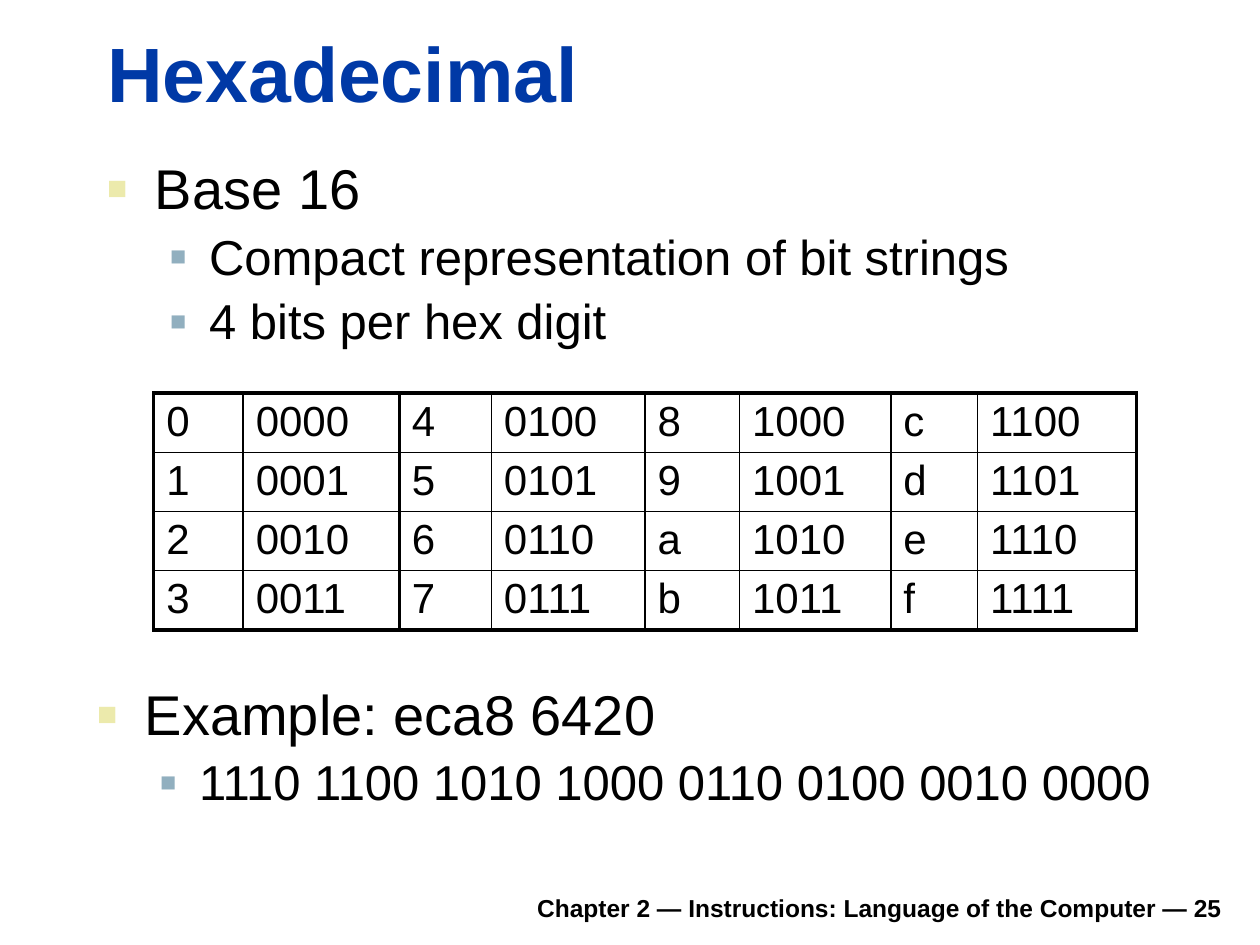
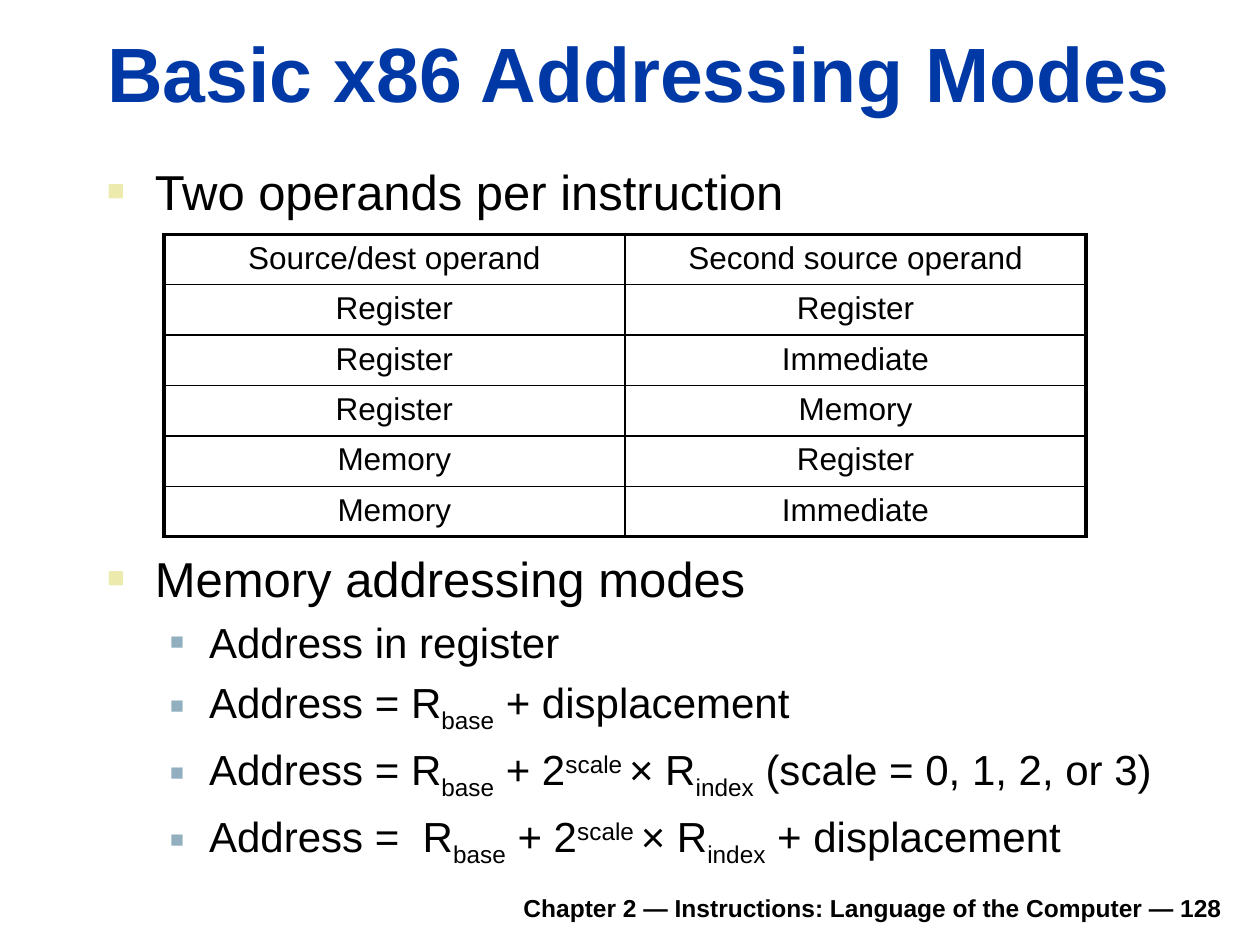
from lxml.etree import SubElement
from pptx import Presentation
from pptx.dml.color import RGBColor
from pptx.enum.text import MSO_ANCHOR, MSO_AUTO_SIZE, PP_ALIGN
from pptx.oxml import parse_xml
from pptx.oxml.ns import nsdecls, qn
from pptx.util import Inches, Pt

FONT = "Arial"
BLUE = RGBColor(0x00, 0x39, 0xA6)
BLACK = RGBColor(0x00, 0x00, 0x00)
SAND = RGBColor(0xEC, 0xEA, 0xAC)
STEEL = RGBColor(0x91, 0xAF, 0xBF)

# Per list level: left margin, hanging indent, bullet colour, bullet size in %
LEVELS = [(0.38, 0.38, SAND, 60), (0.81, 0.31, STEEL, 55)]
SPACE_RATIO = 0.23  # space before a list item, as a share of its text size
THIN, MEDIUM, THICK = 1, 1.5, 2.25
SUB, SUP = -25, 30
FOOTER = "Chapter 2 — Instructions: Language of the Computer — {}"


def add_text(p, text, size=18, color=BLACK, bold=False, baseline=0):
    r = p.add_run()
    r.text = text
    r.font.name = FONT
    r.font.size = Pt(size)
    r.font.bold = bold
    r.font.color.rgb = color
    if baseline:
        r._r.get_or_add_rPr().set("baseline", str(baseline * 1000))


def add_bullet(p, level):
    margin, hanging, color, percent = LEVELS[level]
    p.level = level
    pPr = p._p.get_or_add_pPr()
    pPr.set("marL", str(Inches(margin)))
    pPr.set("indent", str(-Inches(hanging)))
    clr = SubElement(pPr, qn("a:buClr"))
    SubElement(clr, qn("a:srgbClr"), val=str(color))
    SubElement(pPr, qn("a:buSzPct"), val=str(percent * 1000))
    SubElement(pPr, qn("a:buFont"), typeface=FONT)
    SubElement(pPr, qn("a:buChar"), char="■")


def set_borders(cell, left, right, top, bottom):
    tcPr = cell._tc.get_or_add_tcPr()
    sides = zip("LRTB", (left, right, top, bottom))
    for i, (side, width) in enumerate(sides):
        tcPr.insert(i, parse_xml(
            f'<a:ln{side} {nsdecls("a")} w="{Pt(width)}"><a:solidFill>'
            f'<a:srgbClr val="{BLACK}"/></a:solidFill></a:ln{side}>'))


class Deck:
    def __init__(self):
        self.prs = Presentation()
        self.prs.slide_width = Inches(10)
        self.prs.slide_height = Inches(7.5)
        self.s = None

    def new_slide(self, title, number):
        self.s = self.prs.slides.add_slide(self.prs.slide_layouts[3])
        self.title(title)
        self.footer(number)

    def place(self, sp, left, top, width, height, anchor):
        sp.left, sp.top = Inches(left), Inches(top)
        sp.width, sp.height = Inches(width), Inches(height)
        tf = sp.text_frame
        tf.word_wrap = True
        tf.auto_size = MSO_AUTO_SIZE.NONE
        tf.vertical_anchor = anchor
        return tf

    def title(self, text):
        tf = self.place(self.s.shapes.title, 0.75, 0.16, 9.03, 0.83,
                        MSO_ANCHOR.BOTTOM)
        p = tf.paragraphs[0]
        p.alignment = PP_ALIGN.LEFT
        add_text(p, text, size=44, color=BLUE, bold=True)

    def footer(self, number):
        sp = self.s.shapes.add_textbox(0, 0, 0, 0)
        tf = self.place(sp, 1.85, 6.98, 7.95, 0.39, MSO_ANCHOR.BOTTOM)
        p = tf.paragraphs[0]
        p.alignment = PP_ALIGN.RIGHT
        add_text(p, FOOTER.format(number), size=14, bold=True)

    def bullets(self, idx, left, top, height, items, sizes, line_spacing=1.0):
        """The first item is the heading, the others are one level below.

        An item is a string or a list of (text, baseline) pairs.
        """
        tf = self.place(self.s.placeholders[idx], left, top, 9.05, height,
                        MSO_ANCHOR.TOP)
        for i, item in enumerate(items):
            p = tf.add_paragraph() if i else tf.paragraphs[0]
            level = min(i, 1)
            size = sizes[level]
            add_bullet(p, level)
            p.line_spacing = line_spacing
            p.space_before = Pt(size * SPACE_RATIO if i else 0)
            parts = [(item, 0)] if isinstance(item, str) else item
            for text, baseline in parts:
                add_text(p, text, size=size, baseline=baseline)

    def table(self, left, top, widths, row_height, rows, size,
              align=PP_ALIGN.LEFT, group=None, pad=0.05):
        """Thick frame, thin grid, medium line after each group of columns."""
        n_rows, n_cols = len(rows), len(widths)
        frame = self.s.shapes.add_table(
            n_rows, n_cols, Inches(left), Inches(top),
            Inches(sum(widths)), Inches(row_height * n_rows))
        tbl = frame.table
        tbl.first_row = tbl.horz_banding = False
        for col, width in zip(tbl.columns, widths):
            col.width = Inches(width)

        def column_line(j):
            if j in (0, n_cols):
                return THICK
            return MEDIUM if group and j % group == 0 else THIN

        def row_line(i):
            return THICK if i in (0, n_rows) else THIN

        for i, row in enumerate(rows):
            tbl.rows[i].height = Inches(row_height)
            for j, text in enumerate(row):
                cell = tbl.cell(i, j)
                cell.fill.background()
                cell.margin_top = cell.margin_bottom = Inches(pad)
                set_borders(cell, column_line(j), column_line(j + 1),
                            row_line(i), row_line(i + 1))
                p = cell.text_frame.paragraphs[0]
                p.alignment = align
                add_text(p, text, size=size)


def hexadecimal(deck):
    deck.new_slide("Hexadecimal", 25)
    deck.bullets(1, 0.75, 1.23, 1.73,
                 ["Base 16", "Compact representation of bit strings",
                  "4 bits per hex digit"],
                 sizes=(32, 28), line_spacing=0.9)

    # Hex digits run down the columns, each beside its four bits
    rows = [[text for value in range(i, 16, 4)
             for text in (f"{value:x}", f"{value:04b}")] for i in range(4)]
    deck.table(1.22, 3.12, [0.71, 1.24, 0.73, 1.22, 0.75, 1.2, 0.69, 1.26],
               0.47, rows, size=24, group=2, pad=0.04)

    deck.bullets(2, 0.67, 5.4, 1.26,
                 ["Example: eca8 6420",
                  "1110 1100 1010 1000 0110 0100 0010 0000"],
                 sizes=(32, 28), line_spacing=0.9)


def addressing_modes(deck):
    deck.new_slide("Basic x86 Addressing Modes", 128)
    deck.bullets(1, 0.75, 1.23, 0.71, ["Two operands per instruction"],
                 sizes=(28, 24))

    # Operand combinations
    rows = [("Source/dest operand", "Second source operand"),
            ("Register", "Register"),
            ("Register", "Immediate"),
            ("Register", "Memory"),
            ("Memory", "Register"),
            ("Memory", "Immediate")]
    deck.table(1.3, 1.86, [3.66, 3.66], 0.4, rows, size=18,
               align=PP_ALIGN.CENTER)

    # Address formulas
    base = ("base", SUB)
    scaled_index = [(" + 2", 0), ("scale ", SUP), ("× R", 0), ("index", SUB)]
    deck.bullets(2, 0.75, 4.3, 2.52, [
        "Memory addressing modes",
        "Address in register",
        [("Address = R", 0), base, (" + displacement", 0)],
        [("Address = R", 0), base, *scaled_index,
         (" (scale = 0, 1, 2, or 3)", 0)],
        [("Address =  R", 0), base, *scaled_index, (" + displacement", 0)],
    ], sizes=(28, 24))


def main():
    deck = Deck()
    hexadecimal(deck)
    addressing_modes(deck)
    deck.prs.save("out.pptx")


if __name__ == "__main__":
    main()
